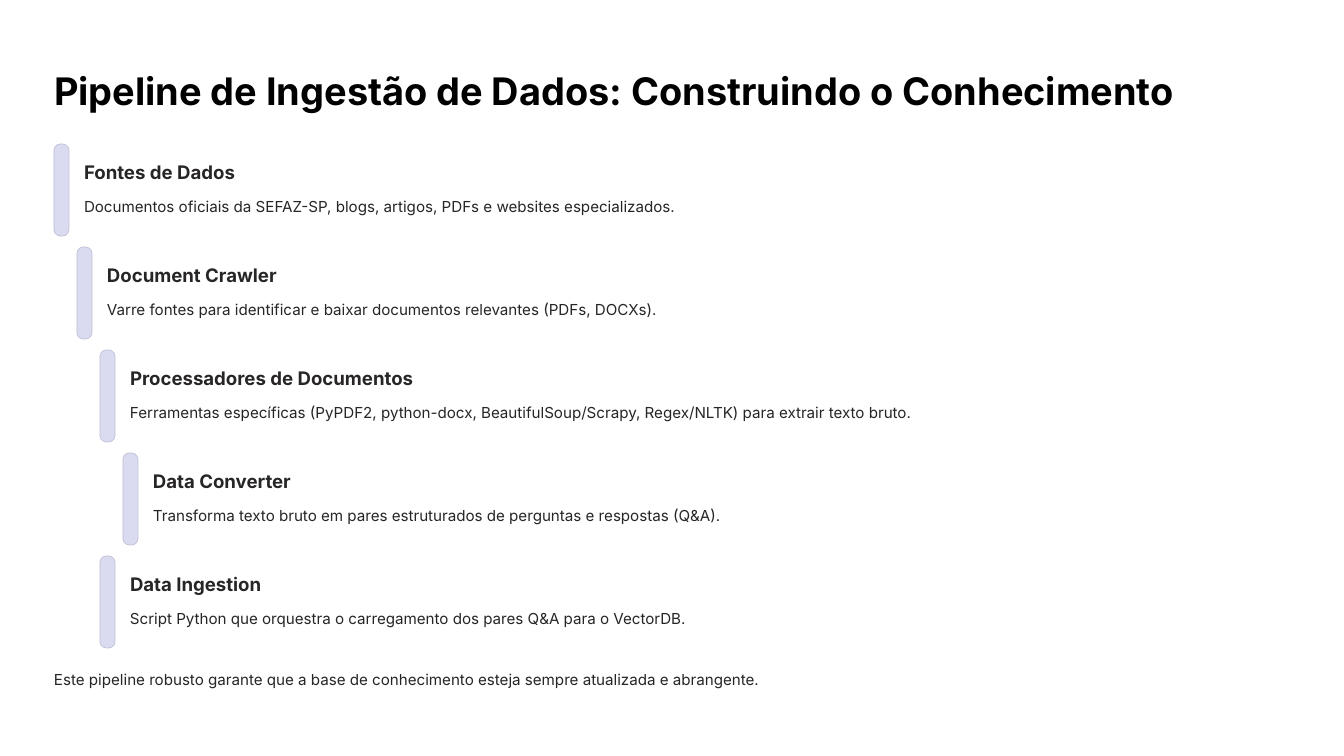
from dataclasses import dataclass

from pptx import Presentation
from pptx.dml.color import RGBColor
from pptx.enum.shapes import MSO_SHAPE
from pptx.util import Emu, Pt

TITLE = "Pipeline de Ingestão de Dados: Construindo o Conhecimento"
STAGES = [
    (0, "Fontes de Dados",
     "Documentos oficiais da SEFAZ-SP, blogs, artigos, PDFs e websites especializados."),
    (1, "Document Crawler",
     "Varre fontes para identificar e baixar documentos relevantes (PDFs, DOCXs)."),
    (2, "Processadores de Documentos",
     "Ferramentas específicas (PyPDF2, python-docx, BeautifulSoup/Scrapy, Regex/NLTK) para extrair texto bruto."),
    (3, "Data Converter",
     "Transforma texto bruto em pares estruturados de perguntas e respostas (Q&A)."),
    (2, "Data Ingestion",
     "Script Python que orquestra o carregamento dos pares Q&A para o VectorDB."),
]
CONCLUSION = "Este pipeline robusto garante que a base de conhecimento esteja sempre atualizada e abrangente."


@dataclass(frozen=True)
class Theme:
    font: str = "Inter"
    background: str = "FFFFFF"
    title: str = "000000"
    text: str = "272525"
    bar: str = "DADBF1"
    bar_line: str = "C0C1D7"
    title_size: float = 32.5
    heading_size: float = 16
    body_size: float = 13
    title_spacing: float = 40.5
    heading_spacing: float = 20
    body_spacing: float = 20.5


THEME = Theme()
EMU_PER_PX = 914400 / 84
LEFT, RIGHT = 54, 1290
STAGE_TOP, STAGE_PITCH, INDENT = 144, 103, 23
BAR_WIDTH, BAR_HEIGHT = 15, 92
TEXT_OFFSET, HEADING_OFFSET, BODY_OFFSET = 30, 16, 48


def px(value):
    return Emu(round(value * EMU_PER_PX))


def color(value):
    return RGBColor.from_string(value)


def add_text(slide, text, left, top, height, *, right=RIGHT, size=THEME.body_size,
             spacing=THEME.body_spacing, fill=THEME.text, bold=False):
    shape = slide.shapes.add_textbox(px(left), px(top), px(right - left), px(height))
    frame = shape.text_frame
    frame.word_wrap = False
    frame.margin_left = frame.margin_top = frame.margin_right = frame.margin_bottom = 0
    paragraph = frame.paragraphs[0]
    paragraph.line_spacing = Pt(spacing)
    run = paragraph.add_run()
    run.text = text
    run.font.name = THEME.font
    run.font.size = Pt(size)
    run.font.bold = bold
    run.font.color.rgb = color(fill)


def add_bar(slide, left, top):
    shape = slide.shapes.add_shape(
        MSO_SHAPE.ROUNDED_RECTANGLE, px(left), px(top), px(BAR_WIDTH), px(BAR_HEIGHT))
    shape.adjustments[0] = 0.42
    shape.shadow.inherit = False
    shape.fill.solid()
    shape.fill.fore_color.rgb = color(THEME.bar)
    shape.line.color.rgb = color(THEME.bar_line)
    shape.line.width = Pt(0.6)


def add_stage(slide, index, level, heading, description):
    left = LEFT + level * INDENT
    top = STAGE_TOP + index * STAGE_PITCH
    text_left = left + TEXT_OFFSET
    add_bar(slide, left, top)
    add_text(slide, heading, text_left, top + HEADING_OFFSET, 24, right=text_left + 290,
             size=THEME.heading_size, spacing=THEME.heading_spacing, bold=True)
    add_text(slide, description, text_left, top + BODY_OFFSET, 24)


def main():
    presentation = Presentation()
    presentation.slide_width, presentation.slide_height = px(1344), px(756)
    slide = presentation.slides.add_slide(presentation.slide_layouts[6])
    slide.background.fill.solid()
    slide.background.fill.fore_color.rgb = color(THEME.background)
    add_text(slide, TITLE, LEFT, 66, 48, right=1182, size=THEME.title_size,
             spacing=THEME.title_spacing, fill=THEME.title, bold=True)
    for index, stage in enumerate(STAGES):
        add_stage(slide, index, *stage)
    add_text(slide, CONCLUSION, LEFT, 665, 24)
    presentation.save("out.pptx")


if __name__ == "__main__":
    main()
